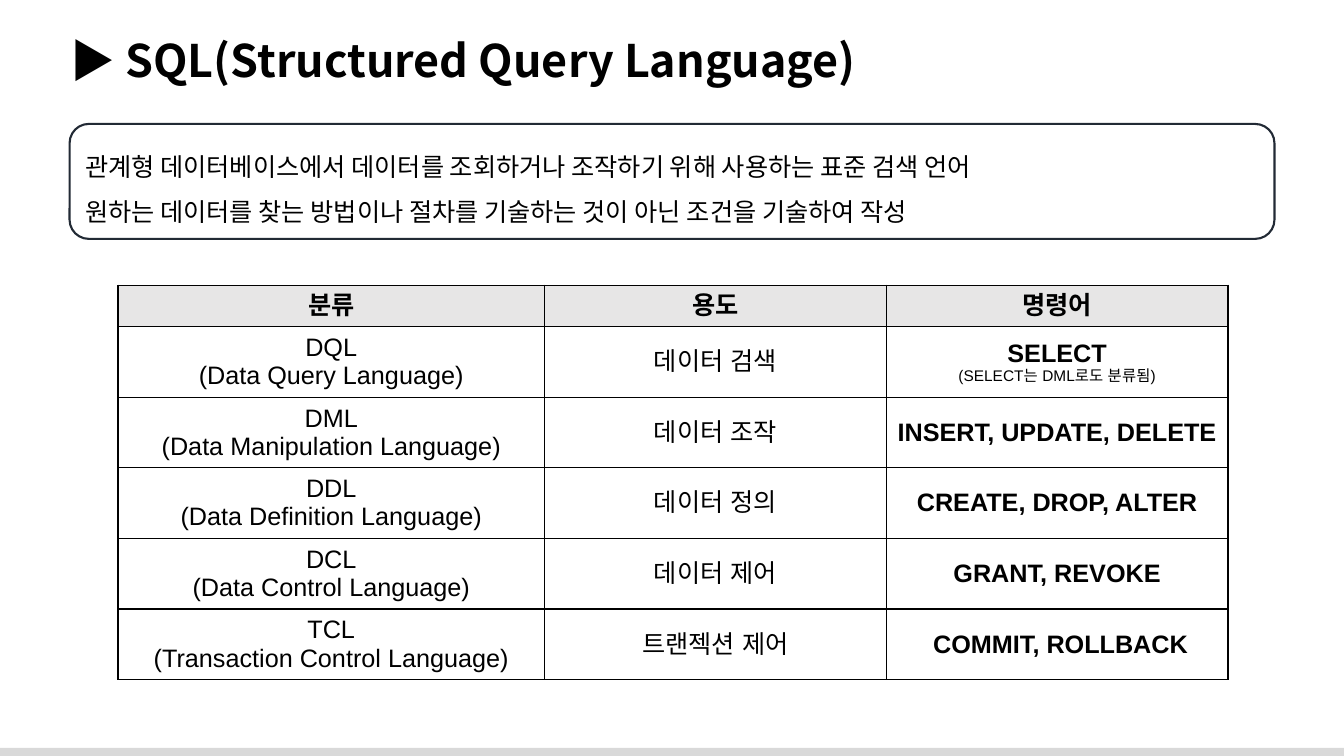
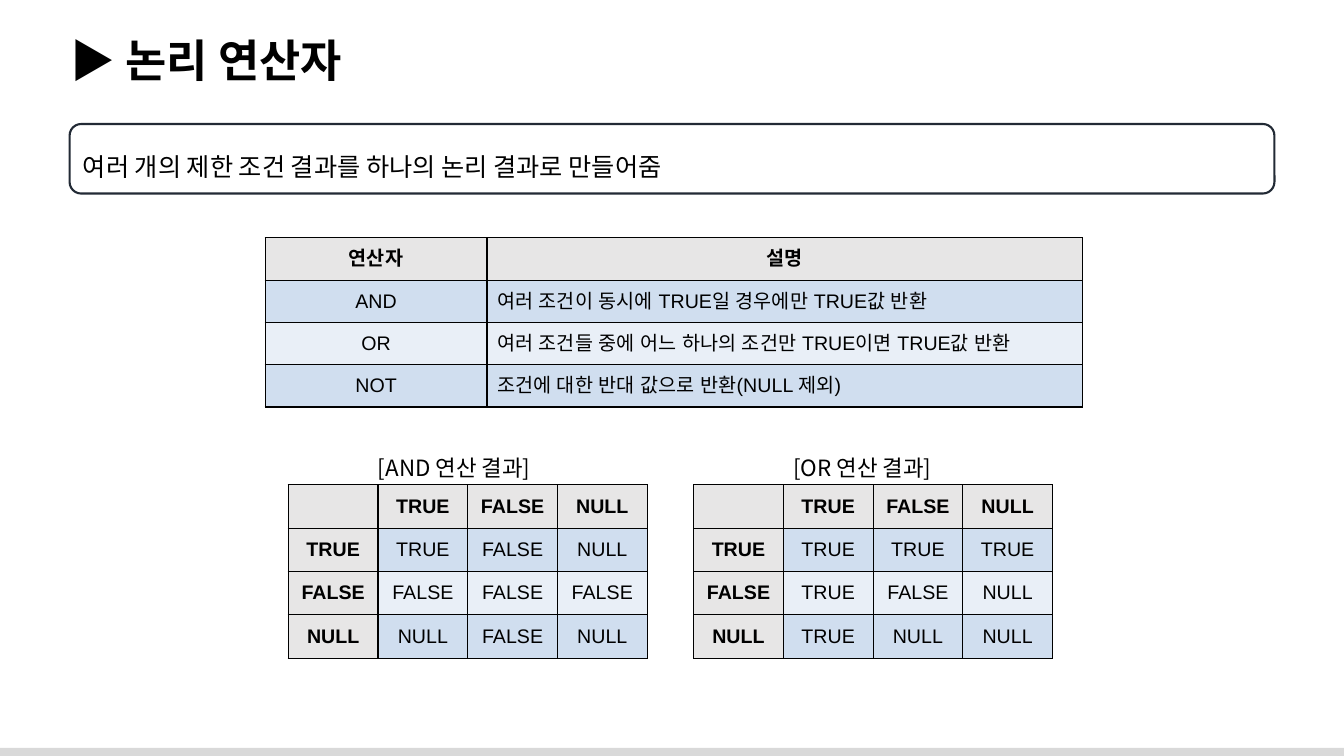
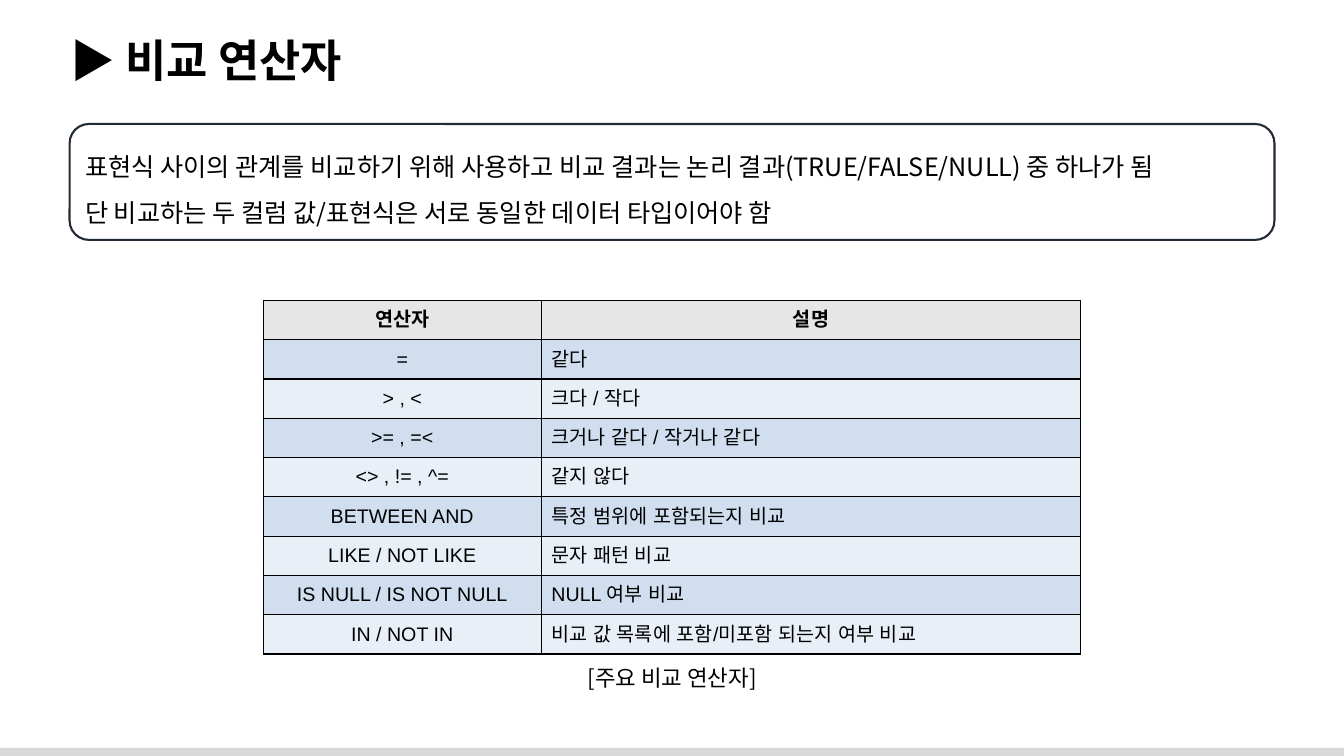
from dataclasses import dataclass

from lxml import etree
from pptx import Presentation
from pptx.dml.color import RGBColor
from pptx.enum.shapes import MSO_SHAPE
from pptx.enum.text import MSO_ANCHOR, PP_ALIGN
from pptx.oxml.ns import qn
from pptx.util import Inches, Pt

RECTANGLE = MSO_SHAPE.RECTANGLE
ROUNDED = MSO_SHAPE.ROUNDED_RECTANGLE
MIDDLE = MSO_ANCHOR.MIDDLE
LEFT, CENTER = PP_ALIGN.LEFT, PP_ALIGN.CENTER

SLIDE_WIDTH, SLIDE_HEIGHT = 13.33, 7.5
BAND_TOP = 7.42
BLACK, BAND_GRAY, OUTLINE = "000000", "D9D9D9", "222A35"
HEADER_GRAY = "E7E6E6"
BLUE_BANDS = ("D0DEEF", "E9EFF7")
HEADING_FONT, TABLE_FONT = "Noto Sans CJK KR", "Arial"

TITLE = {"name": HEADING_FONT, "size": Pt(32), "bold": True}
SUMMARY = {"name": HEADING_FONT, "size": Pt(18), "bold": False}
CAPTION = {"name": HEADING_FONT, "size": Pt(16), "bold": False}
NOTE_SIZE = 11


@dataclass
class Grid:
    left: float
    top: float
    columns: list[float]
    heights: list[float]
    rows: list[list[str]]
    size: int = 14
    bands: tuple[str, ...] = BLUE_BANDS
    bold_columns: tuple[int, ...] = ()
    left_columns: tuple[int, ...] = ()
    header_column: bool = False


@dataclass
class Caption:
    text: str
    left: float
    top: float
    width: float
    align: PP_ALIGN = LEFT


@dataclass
class Page:
    title: str
    summary: list[str]
    summary_height: float
    grids: list[Grid]
    captions: list[Caption]


def color(value: str) -> RGBColor:
    return RGBColor.from_string(value)


def write(frame, lines: list[str], style: dict, align=LEFT, spacing=None) -> None:
    for index, line in enumerate(lines):
        paragraph = frame.paragraphs[0] if index == 0 else frame.add_paragraph()
        paragraph.alignment = align
        if spacing:
            paragraph.line_spacing = spacing
        if not line:
            continue
        run = paragraph.add_run()
        run.text = line
        for attribute, value in style.items():
            setattr(run.font, attribute, value)
        run.font.color.rgb = color(BLACK)
        east_asian = etree.SubElement(run.font._element, qn("a:ea"))
        east_asian.set("typeface", style["name"])


def add_text(slide, text: str, left: float, top: float, width: float,
             height: float, style: dict, align=LEFT) -> None:
    box = slide.shapes.add_textbox(
        Inches(left), Inches(top), Inches(width), Inches(height))
    box.text_frame.word_wrap = True
    write(box.text_frame, [text], style, align)


def add_footer_band(slide) -> None:
    band = slide.shapes.add_shape(
        RECTANGLE, 0, Inches(BAND_TOP), Inches(SLIDE_WIDTH),
        Inches(SLIDE_HEIGHT - BAND_TOP))
    band.shadow.inherit = False
    band.fill.solid()
    band.fill.fore_color.rgb = color(BAND_GRAY)
    band.line.fill.background()


def add_summary(slide, lines: list[str], height: float) -> None:
    panel = slide.shapes.add_shape(
        ROUNDED, Inches(0.69), Inches(1.23), Inches(11.95), Inches(height))
    panel.shadow.inherit = False
    panel.fill.background()
    panel.line.color.rgb = color(OUTLINE)
    panel.line.width = Pt(1.5)
    panel.text_frame.word_wrap = True
    panel.text_frame.vertical_anchor = MIDDLE
    write(panel.text_frame, lines, SUMMARY, spacing=1.5)


def add_borders(cell) -> None:
    properties = cell._tc.get_or_add_tcPr()
    for side in ("a:lnL", "a:lnR", "a:lnT", "a:lnB"):
        line = etree.SubElement(properties, qn(side), w=str(Pt(1)))
        fill = etree.SubElement(line, qn("a:solidFill"))
        etree.SubElement(fill, qn("a:srgbClr"), val=BLACK)


def fill_cell(cell, grid: Grid, row: int, column: int) -> None:
    is_header = row == 0 or (grid.header_column and column == 0)
    add_borders(cell)
    if is_header or grid.bands:
        shade = HEADER_GRAY if is_header else grid.bands[(row - 1) % len(grid.bands)]
        cell.fill.solid()
        cell.fill.fore_color.rgb = color(shade)
    else:
        cell.fill.background()
    cell.vertical_anchor = MIDDLE
    align = LEFT if column in grid.left_columns and not is_header else CENTER
    style = {"name": TABLE_FONT, "size": Pt(grid.size),
             "bold": is_header or column in grid.bold_columns}
    write(cell.text_frame, grid.rows[row][column].split("\n"), style, align)


def add_grid(slide, grid: Grid) -> None:
    table = slide.shapes.add_table(
        len(grid.rows), len(grid.columns), Inches(grid.left), Inches(grid.top),
        Inches(sum(grid.columns)), Inches(sum(grid.heights))).table
    for column, width in zip(table.columns, grid.columns):
        column.width = Inches(width)
    for row, height in zip(table.rows, grid.heights):
        row.height = Inches(height)
    for row in range(len(grid.rows)):
        for column in range(len(grid.columns)):
            fill_cell(table.cell(row, column), grid, row, column)
    if grid.bold_columns:
        for column in grid.bold_columns:
            for row in range(1, len(grid.rows)):
                for note in table.cell(row, column).text_frame.paragraphs[1:]:
                    note.runs[0].font.size = Pt(NOTE_SIZE)
                    note.runs[0].font.bold = False


def truth_table(left: float, results: list[list[str]]) -> Grid:
    values = ["TRUE", "FALSE", "NULL"]
    rows = [["", *values]] + [[value, *line] for value, line in zip(values, results)]
    return Grid(left, 4.81, [0.89] * 4, [0.43] * 4, rows, header_column=True)


PAGES = [
    Page(
        "▶ SQL(Structured Query Language)",
        ["관계형 데이터베이스에서 데이터를 조회하거나 조작하기 위해 사용하는 표준 검색 언어",
         "원하는 데이터를 찾는 방법이나 절차를 기술하는 것이 아닌 조건을 기술하여 작성"],
        1.14,
        [Grid(1.17, 2.83, [4.23, 3.39, 3.39], [0.41] + [0.7] * 5, [
            ["분류", "용도", "명령어"],
            ["DQL\n(Data Query Language)", "데이터 검색",
             "SELECT\n(SELECT는 DML로도 분류됨)"],
            ["DML\n(Data Manipulation Language)", "데이터 조작",
             "INSERT, UPDATE, DELETE"],
            ["DDL\n(Data Definition Language)", "데이터 정의", "CREATE, DROP, ALTER"],
            ["DCL\n(Data Control Language)", "데이터 제어", "GRANT, REVOKE"],
            ["TCL\n(Transaction Control Language)", "트랜젝션 제어",
             " COMMIT, ROLLBACK"],
        ], size=18, bands=(), bold_columns=(2,))],
        [],
    ),
    Page(
        "▶ 논리 연산자",
        ["여러 개의 제한 조건 결과를 하나의 논리 결과로 만들어줌"],
        0.69,
        [Grid(2.63, 2.36, [2.2, 5.91], [0.42] * 4, [
            ["연산자", "설명"],
            ["AND", "여러 조건이 동시에 TRUE일 경우에만 TRUE값 반환"],
            ["OR", "여러 조건들 중에 어느 하나의 조건만 TRUE이면 TRUE값 반환"],
            ["NOT", "조건에 대한 반대 값으로 반환(NULL 제외)"],
        ], left_columns=(1,)),
         truth_table(2.86, [["TRUE", "FALSE", "NULL"],
                            ["FALSE", "FALSE", "FALSE"],
                            ["NULL", "FALSE", "NULL"]]),
         truth_table(6.88, [["TRUE", "TRUE", "TRUE"],
                            ["TRUE", "FALSE", "NULL"],
                            ["TRUE", "NULL", "NULL"]])],
        [Caption("[AND 연산 결과]", 3.65, 4.46, 1.94),
         Caption("[OR 연산 결과]", 7.77, 4.46, 1.7)],
    ),
    Page(
        "▶ 비교 연산자",
        ["표현식 사이의 관계를 비교하기 위해 사용하고 비교 결과는 논리 결과(TRUE/FALSE/NULL) 중 하나가 됨",
         "단 비교하는 두 컬럼 값/표현식은 서로 동일한 데이터 타입이어야 함"],
        1.15,
        [Grid(2.61, 2.98, [2.76, 5.35], [0.39] * 9, [
            ["연산자", "설명"],
            ["=", "같다"],
            ["> , <", "크다 / 작다"],
            [">= , =<", "크거나 같다 / 작거나 같다"],
            ["<> , != , ^=", "같지 않다"],
            ["BETWEEN AND", "특정 범위에 포함되는지 비교"],
            ["LIKE / NOT LIKE", "문자 패턴 비교"],
            ["IS NULL / IS NOT NULL", "NULL 여부 비교"],
            ["IN / NOT IN", "비교 값 목록에 포함/미포함 되는지 여부 비교"],
        ], left_columns=(1,))],
        [Caption("[주요 비교 연산자]", 5.59, 6.54, 2.15, CENTER)],
    ),
]


def main() -> None:
    deck = Presentation()
    deck.slide_width, deck.slide_height = Inches(SLIDE_WIDTH), Inches(SLIDE_HEIGHT)
    for page in PAGES:
        slide = deck.slides.add_slide(deck.slide_layouts[6])
        add_footer_band(slide)
        add_text(slide, page.title, 0.6, 0.28, 12.6, 0.64, TITLE)
        add_summary(slide, page.summary, page.summary_height)
        for grid in page.grids:
            add_grid(slide, grid)
        for caption in page.captions:
            add_text(slide, caption.text, caption.left, caption.top,
                     caption.width, 0.37, CAPTION, caption.align)
    deck.save("out.pptx")


if __name__ == "__main__":
    main()
